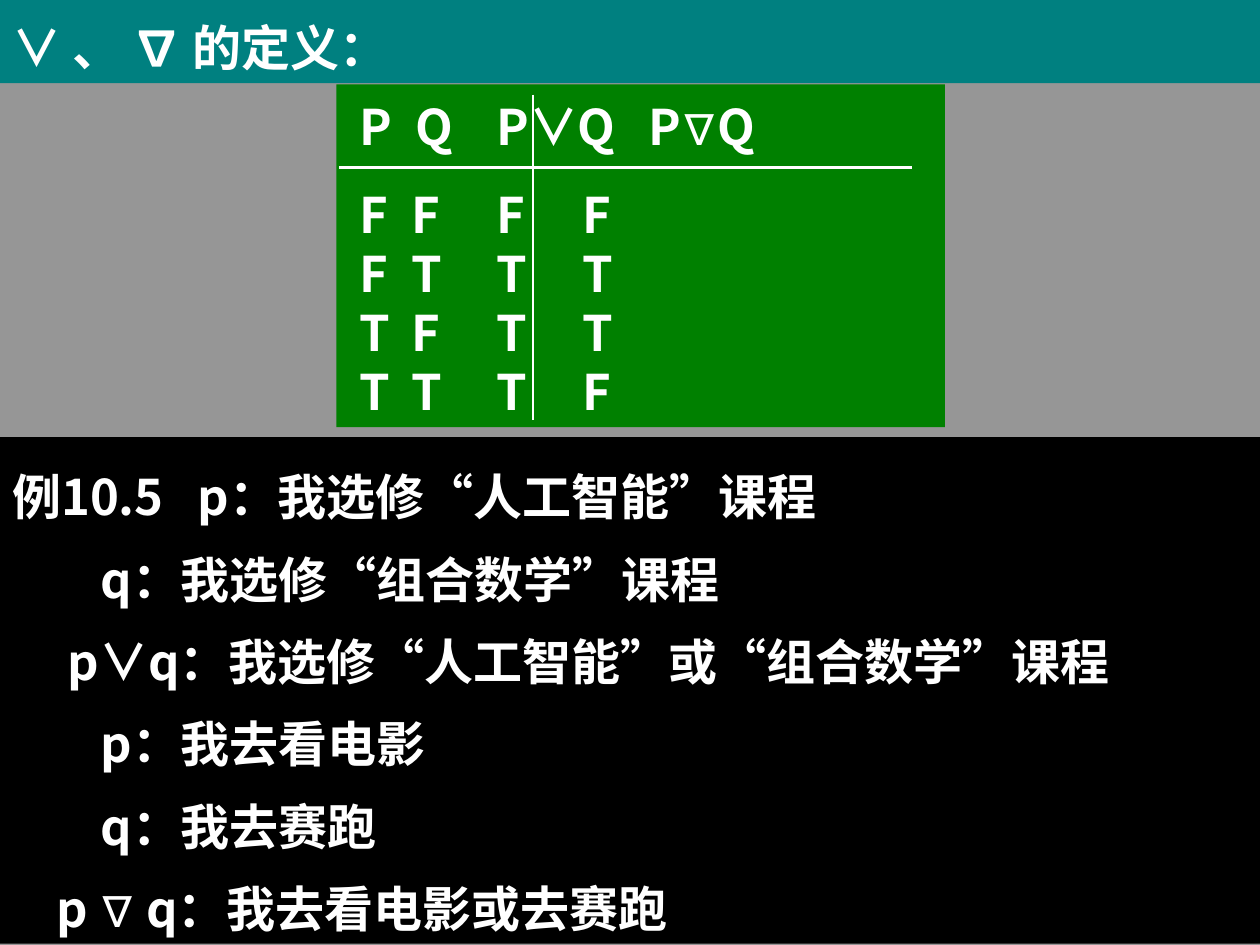
from dataclasses import dataclass
from itertools import groupby

from lxml.etree import SubElement
from pptx import Presentation
from pptx.dml.color import RGBColor
from pptx.enum.shapes import MSO_CONNECTOR as Connector, MSO_SHAPE as Shape
from pptx.enum.text import MSO_ANCHOR as Anchor, PP_ALIGN as Align
from pptx.oxml.ns import qn
from pptx.util import Inches, Pt

GRAY = RGBColor(0x96, 0x96, 0x96)
TEAL = RGBColor(0x00, 0x80, 0x80)
GREEN = RGBColor(0x00, 0x80, 0x00)
BLACK = RGBColor(0x00, 0x00, 0x00)
WHITE = RGBColor(0xFF, 0xFF, 0xFF)
MAIN_FONT = "Noto Sans CJK SC"
SYMBOL_FONTS = {"∇": "Arial", "“": "Courier New", "”": "Courier New"}
HEADER_TABS = (0.45, 1.09, 2.3)
ROW_TABS = (0.42, 1.09, 1.77)


@dataclass(frozen=True)
class Line:
    text: str
    spacing: float = 1.0
    indent: float = 0.0
    tabs: tuple[float, ...] = ()


@dataclass(frozen=True)
class Panel:
    left: float
    top: float
    width: float
    height: float
    color: RGBColor
    lines: tuple[Line, ...]
    align: Align = Align.JUSTIFY
    inset: float = 0.1


@dataclass(frozen=True)
class Rule:
    x1: float
    y1: float
    x2: float
    y2: float


TITLE = Panel(0, 0, 10, 0.66, TEAL, (Line("∨ 、 ∇ 的定义：", 1.2),))
EXAMPLES = Panel(0, 3.47, 10, 4.02, BLACK, (
    Line("例10.5\tp：我选修“人工智能”课程", 1.4, tabs=(1.47,)),
    Line("q：我选修“组合数学”课程", 1.4, 0.7),
    Line("p∨q：我选修“人工智能”或“组合数学”课程", 1.4, 0.44),
    Line("p：我去看电影", 1.4, 0.7),
    Line("q：我去赛跑", 1.4, 0.7),
    Line("p ∇ q：我去看电影或去赛跑", 1.4, 0.35),
))
TRUTH_TABLE = Panel(2.67, 0.67, 4.83, 2.72, GREEN, (
    Line("P\tQ\tP∨Q\tP∇Q", 1.1, tabs=HEADER_TABS),
    Line("F\tF\tF\tF", 1.5, tabs=ROW_TABS),
    Line("F\tT\tT\tT", tabs=ROW_TABS),
    Line("T\tF\tT\tT", tabs=ROW_TABS),
    Line("T\tT\tT\tF", tabs=ROW_TABS),
), Align.LEFT, 0.18)
TABLE_RULES = (Rule(2.69, 1.33, 7.24, 1.33), Rule(4.23, 0.75, 4.23, 3.33))


def font_for(letter: str) -> str:
    """Return the font that a character is set in."""
    return SYMBOL_FONTS.get(letter, MAIN_FONT)


def write_line(paragraph, line: Line, align: Align) -> None:
    """Fill one paragraph with its spacing, indent or tab stops, and spans."""
    paragraph.alignment = align
    paragraph.line_spacing = line.spacing
    properties = paragraph._p.get_or_add_pPr()
    if line.indent:
        properties.set("marL", str(Inches(line.indent)))
    if line.tabs:
        stops = SubElement(properties, qn("a:tabLst"))
        for stop in line.tabs:
            SubElement(stops, qn("a:tab"), pos=str(Inches(stop)), algn="l")
    for font_name, letters in groupby(line.text, font_for):
        span = paragraph.add_run()
        span.text = "".join(letters)
        span.font.name = font_name
        span.font.size = Pt(28)
        span.font.bold = True
        span.font.color.rgb = WHITE
        SubElement(span._r.get_or_add_rPr(), qn("a:ea"), typeface=MAIN_FONT)


def draw_panel(shapes, panel: Panel) -> None:
    """Draw a filled rectangle with its lines of text."""
    box = shapes.add_shape(Shape.RECTANGLE, Inches(panel.left), Inches(panel.top),
                           Inches(panel.width), Inches(panel.height))
    box.shadow.inherit = False
    box.fill.solid()
    box.fill.fore_color.rgb = panel.color
    box.line.fill.background()
    frame = box.text_frame
    frame.word_wrap = True
    frame.vertical_anchor = Anchor.TOP
    frame.margin_left = Inches(panel.inset)
    for index, line in enumerate(panel.lines):
        paragraph = frame.add_paragraph() if index else frame.paragraphs[0]
        write_line(paragraph, line, panel.align)


def draw_rule(shapes, rule: Rule) -> None:
    """Draw a white rule of the truth table."""
    connector = shapes.add_connector(Connector.STRAIGHT, Inches(rule.x1), Inches(rule.y1),
                                     Inches(rule.x2), Inches(rule.y2))
    connector.line.color.rgb = WHITE
    connector.line.width = Pt(1.5)
    SubElement(connector._element.spPr, qn("a:effectLst"))


def main() -> None:
    """Build the slide and save it."""
    deck = Presentation()
    deck.slide_width, deck.slide_height = Inches(10), Inches(7.5)
    page = deck.slides.add_slide(deck.slide_layouts[6])
    page.background.fill.solid()
    page.background.fill.fore_color.rgb = GRAY
    draw_panel(page.shapes, TITLE)
    draw_panel(page.shapes, EXAMPLES)
    group = page.shapes.add_group_shape()
    draw_panel(group.shapes, TRUTH_TABLE)
    for rule in TABLE_RULES:
        draw_rule(group.shapes, rule)
    deck.save("out.pptx")


if __name__ == "__main__":
    main()
